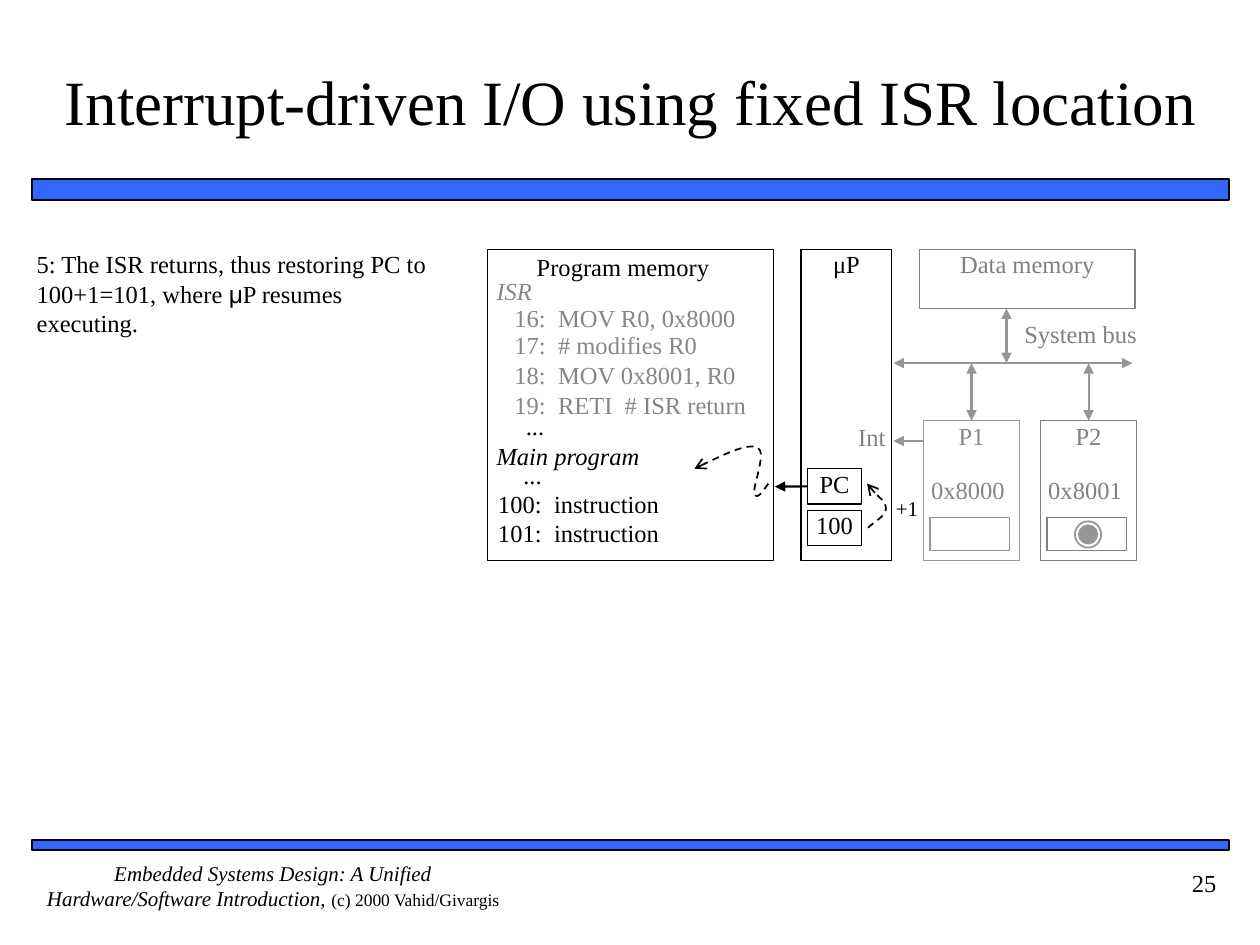
from lxml import etree
from pptx import Presentation
from pptx.dml.color import RGBColor
from pptx.enum.dml import MSO_LINE
from pptx.enum.shapes import MSO_CONNECTOR, MSO_SHAPE
from pptx.enum.text import MSO_ANCHOR, PP_ALIGN
from pptx.oxml.ns import qn
from pptx.util import Cm, Pt

RECT, OVAL = MSO_SHAPE.RECTANGLE, MSO_SHAPE.OVAL
STRAIGHT, DASH = MSO_CONNECTOR.STRAIGHT, MSO_LINE.DASH
LEFT, CENTER, RIGHT = PP_ALIGN.LEFT, PP_ALIGN.CENTER, PP_ALIGN.RIGHT
TOP, MIDDLE = MSO_ANCHOR.TOP, MSO_ANCHOR.MIDDLE
BLACK, WHITE, BLUE = "000000", "FFFFFF", "3366FF"
GRAY, LIGHT, CODE = "808080", "969696", "868686"
SERIF, SANS = "Times New Roman", "Arial"


def rgb(value):
    """Return the colour for a hex string."""
    return RGBColor.from_string(value)


def write(s, runs, color=BLACK, align=LEFT, size=14, italic=False, anchor=TOP):
    """Fill a shape with one paragraph of runs and return the runs."""
    tf = s.text_frame
    tf.word_wrap, tf.vertical_anchor = True, anchor
    tf.margin_left = tf.margin_right = tf.margin_top = tf.margin_bottom = 0
    p = tf.paragraphs[0]
    p.alignment = align
    p.font.name, p.font.size = SERIF, Pt(size)
    p.font.italic, p.font.color.rgb = italic, rgb(color)
    added = []
    for text in runs:
        r = p.add_run()
        r.text = text
        added.append(r)
    return added


def add_label(shapes, x, y, w, h, text, **style):
    """Add a text box holding one run."""
    write(shapes.add_textbox(Cm(x), Cm(y), Cm(w), Cm(h)), [text], **style)


def add_box(shapes, x, y, w, h, line, fill=None, text="", color=BLACK,
            kind=RECT, width=0.75):
    """Add an outlined shape with optional centred text."""
    s = shapes.add_shape(kind, Cm(x), Cm(y), Cm(w), Cm(h))
    s.shadow.inherit = False
    if fill:
        s.fill.solid()
        s.fill.fore_color.rgb = rgb(fill)
    else:
        s.fill.background()
    s.line.color.rgb, s.line.width = rgb(line), Pt(width)
    if text:
        write(s, [text], color, CENTER)
    return s


def add_heads(s, tail, head=None):
    """Put arrowheads on the ends of a line."""
    ln = s.line._get_or_add_ln()
    for tag, kind in (("a:headEnd", head), ("a:tailEnd", tail)):
        if kind:
            etree.SubElement(ln, qn(tag), type=kind)


def add_arrow(shapes, x1, y1, x2, y2, color=LIGHT, width=1.25, double=True):
    """Add a straight arrow with one or two heads."""
    s = shapes.add_connector(STRAIGHT, Cm(x1), Cm(y1), Cm(x2), Cm(y2))
    etree.SubElement(s._element.spPr, qn("a:effectLst"))
    s.line.color.rgb, s.line.width = rgb(color), Pt(width)
    add_heads(s, "triangle", "triangle" if double else None)
    return s


def add_curve(shapes, x, y, points):
    """Add a dashed Bézier arrow through points relative to x, y."""
    pts = [(Cm(x + dx), Cm(y + dy)) for dx, dy in points]
    builder = shapes.build_freeform(*pts[0])
    builder.add_line_segments(pts[1:], close=False)
    s = builder.convert_to_shape()
    s.shadow.inherit = False
    s.fill.background()
    s.line.color.rgb, s.line.width = rgb(BLACK), Pt(1)
    s.line.dash_style = DASH
    add_heads(s, "arrow")
    path = s._element.find(".//" + qn("a:path"))
    segments = path.findall(qn("a:lnTo"))
    for i in range(0, len(segments), 3):
        cubic = etree.SubElement(path, qn("a:cubicBezTo"))
        for segment in segments[i:i + 3]:
            cubic.append(segment[0])
            path.remove(segment)


def add_frame(shapes, x, w):
    """Place the title, rules, footer and page number."""
    title = shapes.title
    title.left, title.top, title.width, title.height = Cm(1.07), Cm(0.43), Cm(23.29), Cm(3.18)
    write(title, ["Interrupt-driven I/O using fixed ISR location"],
          align=CENTER, size=36, anchor=MIDDLE)
    for y, h in ((3.61, 0.43), (16.93, 0.21)):
        add_box(shapes, x, y, w, h, BLACK, BLUE, width=1)
    footer = shapes.add_textbox(Cm(x), Cm(17.35), Cm(9.73), Cm(1.27))
    runs = write(footer, ["Embedded Systems Design: A Unified Hardware/Software Introduction, ",
                          "(c) 2000 Vahid/Givargis"], align=CENTER, size=12, italic=True)
    runs[1].font.size, runs[1].font.italic = Pt(10), False
    add_label(shapes, x + w - 2.54, 17.5, 2.29, 1, "25", align=RIGHT)


def add_step(shapes, x, y, w, h):
    """Place the description of the step."""
    s = shapes.add_textbox(Cm(x), Cm(y), Cm(w), Cm(h))
    runs = write(s, ["5: The ISR returns, thus restoring PC to 100+1=101, where ",
                     "μ", "P resumes executing."])
    runs[1].font.name = SANS


def add_program(shapes, x, y, w, h):
    """Place the program memory with its listing."""
    add_box(shapes, x, y, w, h, BLACK, WHITE)
    add_label(shapes, x + 0.99, y + 0.05, 3.96, 0.81, "Program memory")
    for dy, text, color in ((0.53, "ISR", CODE), (3.86, "Main program", BLACK)):
        add_label(shapes, x + 0.18, y + dy, 3.38, 0.84, text, color=color, italic=True)
    listing = [(1.07, 1.17, "16:", "MOV R0, 0x8000", CODE),
               (1.63, 1.17, "17:", "# modifies R0", CODE),
               (2.23, 1.17, "18:", "MOV 0x8001, R0", CODE),
               (2.84, 1.17, "19:", "RETI  # ISR return", CODE),
               (3.25, 1.14, "...", "", BLACK),
               (4.24, 1.09, "...", "", BLACK),
               (4.83, 1.09, "100:", "instruction", BLACK),
               (5.41, 1.09, "101:", "instruction", BLACK)]
    for dy, edge, number, code, color in listing:
        add_label(shapes, x, y + dy, edge, 0.62, number, color=color, align=RIGHT)
        if code:
            add_label(shapes, x + edge + 0.25, y + dy, 4.32, 0.62, code, color=color)
    add_curve(shapes, x, y, [(5.66, 4.72), (5.54, 4.88), (5.44, 5.05), (5.38, 4.93),
                             (5.33, 4.8), (5.64, 4.09), (5.44, 3.99),
                             (5.23, 3.91), (4.7, 4.16), (4.17, 4.42)])


def add_processor(shapes, x, y, w, h):
    """Place the processor with its program counter."""
    add_box(shapes, x, y, w, h, BLACK, WHITE, "μP")
    pc, _ = [add_box(shapes, x + 0.13, y + dy, 1.09, 0.71, BLACK, WHITE, text)
             for dy, text in ((4.42, "PC"), (5.26, "100"))]
    arrow = add_arrow(shapes, x + 0.13, y + 4.78, x - 0.53, y + 4.78, BLACK, double=False)
    arrow.begin_connect(pc, 1)
    add_curve(shapes, x, y, [(1.35, 5.61), (1.4, 5.54), (1.71, 5.38), (1.71, 5.23),
                             (1.71, 5.08), (1.4, 4.85), (1.33, 4.72)])
    add_label(shapes, x + 1.78, y + 4.95, 0.71, 0.51, "+1", align=CENTER, size=12)
    add_label(shapes, x + 0.89, y + 3.48, 0.81, 0.81, "Int", color=GRAY, align=RIGHT)


def add_data_memory(shapes, x, y, w, h, bus_y):
    """Place the data memory and the system bus below it."""
    add_box(shapes, x, y, w, h, GRAY, None, "Data memory", GRAY)
    add_arrow(shapes, x + 1.75, y + h, x + 1.75, bus_y)
    add_arrow(shapes, x - 0.53, bus_y, x + 4.29, bus_y)
    add_label(shapes, x + 1.96, bus_y - 0.89, 2.57, 0.8, "System bus",
              color=GRAY, align=CENTER)


def add_peripheral(shapes, x, y, w, h, bus_y, name, address, line, color):
    """Place a peripheral with its register, joined to the bus."""
    s = add_box(shapes, x, y, w, h, line, WHITE, name, color)
    add_box(shapes, x + 0.13, y + 1.96, 1.6, 0.66, line, WHITE)
    add_label(shapes, x + 0.08, y + 1.09, 1.63, 0.7, address, color=color, align=CENTER)
    add_arrow(shapes, x + w / 2, bus_y, x + w / 2, y).end_connect(s, 0)


def main():
    """Build and save the slide."""
    prs = Presentation()
    prs.slide_width, prs.slide_height = Cm(25.4), Cm(19.05)
    shapes = prs.slides.add_slide(prs.slide_layouts[5]).shapes
    top, height, bus_y, port_y = 5.03, 6.27, 7.32, 8.48
    add_frame(shapes, 0.64, 24.13)
    add_step(shapes, 0.74, top, 7.98, 3.38)
    add_program(shapes, 9.83, top, 5.77, height)
    add_processor(shapes, 16.15, top, 1.83, height)
    add_data_memory(shapes, 18.54, top, 4.34, 1.19, bus_y)
    for x, *style in ((18.62, "P1", "0x8000", LIGHT, CODE),
                      (20.98, "P2", "0x8001", GRAY, GRAY)):
        add_peripheral(shapes, x, port_y, 1.93, 2.82, bus_y, *style)
    add_arrow(shapes, 18.62, 8.89, 18.01, 8.89, width=0.75, double=False)
    for inset, fill in ((0.08, LIGHT), (0, None)):
        add_box(shapes, 21.67 + inset, 10.51 + inset, 0.53 - 2 * inset, 0.53 - 2 * inset,
                LIGHT, fill, kind=OVAL, width=1)
    prs.save("out.pptx")


if __name__ == "__main__":
    main()
